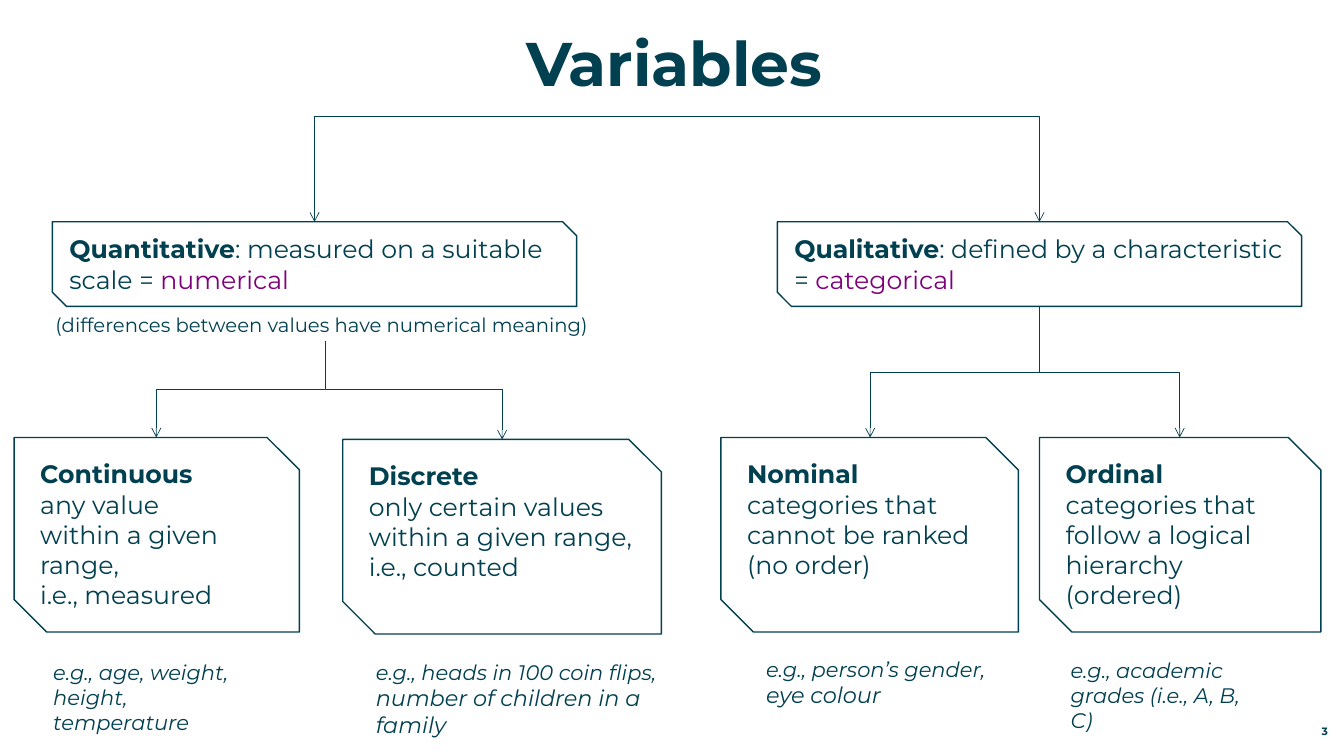
"""Builds a slide with a tree of the types of statistical variables."""
from lxml.etree import SubElement
from pptx import Presentation
from pptx.dml.color import RGBColor
from pptx.enum.shapes import MSO_CONNECTOR as CONNECTOR, MSO_SHAPE as SHAPE
from pptx.enum.text import MSO_ANCHOR as ANCHOR, PP_ALIGN as ALIGN
from pptx.oxml.ns import qn
from pptx.util import Inches, Pt

FONT = "Montserrat"
COLORS = {"ink": "004050", "accent": "7F007D", "paper": "FFFFFF"}

BRANCHES = [
    (0.52, "Quantitative", ": measured on a suitable scale = ", "numerical"),
    (7.71, "Qualitative", ": defined by a characteristic = ", "categorical"),
]
TYPES = [
    (0.14, 4.34, 2.83, "Continuous",
     ["any value", "within a given range,", "i.e., measured"]),
    (3.4, 4.36, 3.16, "Discrete",
     ["only certain values", "within a given range,", "i.e., counted"]),
    (7.15, 4.34, 2.95, "Nominal", ["categories that cannot be ranked (no order)"]),
    (10.31, 4.34, 2.79, "Ordinal",
     ["categories that follow a logical hierarchy (ordered)"]),
]
EXAMPLES = [
    (0.43, 6.49, 2.24, 0.86, ["e.g., age, weight, height, temperature"]),
    (3.63, 6.49, 3.1, 0.89,
     ["e.g., heads in 100 coin flips,", "number of children in a family"]),
    (7.5, 6.46, 2.6, 0.62, ["e.g., person’s gender,", "eye colour"]),
    (10.52, 6.47, 2.13, 0.86, ["e.g., academic grades (i.e., A, B, C)"]),
]
CORNER_ARROWS = [
    ((6.78, 1.15), (3.12, 2.2)),
    ((6.78, 1.15), (10.31, 2.2)),
    ((3.23, 3.86), (4.98, 4.36)),
]
STEP_ARROWS = [
    ((10.31, 3.04), (11.7, 4.34)),
    ((10.31, 3.04), (8.63, 4.34)),
    ((3.23, 3.38), (1.55, 4.34)),
]


def color(name):
    return RGBColor.from_string(COLORS[name])


def style(run, size, bold=False, italic=False, ink="ink"):
    run.font.name = FONT
    run.font.size = Pt(size)
    run.font.bold = bold
    run.font.italic = italic
    run.font.color.rgb = color(ink)


def write(frame, lines, wrap=True):
    """Fill a frame with lines, each a list of (text, style options)."""
    frame.word_wrap = wrap
    frame.vertical_anchor = ANCHOR.TOP
    for index, pieces in enumerate(lines):
        line = frame.paragraphs[0] if index == 0 else frame.add_paragraph()
        line.alignment = ALIGN.LEFT
        for text, options in pieces:
            run = line.add_run()
            run.text = text
            style(run, **options)


def clear_margins(frame):
    frame.margin_left = frame.margin_right = 0
    frame.margin_top = frame.margin_bottom = 0


def add_title(slide, text):
    title = slide.shapes.title
    title.left, title.top = Inches(5.22), Inches(0.33)
    title.width, title.height = Inches(3.14), Inches(0.67)
    clear_margins(title.text_frame)
    write(title.text_frame, [[(text, {"size": 44, "bold": True})]], wrap=False)
    title.text_frame.paragraphs[0].line_spacing = 0.9


def add_card(slide, left, top, width, height, lines, wrap=True):
    card = slide.shapes.add_shape(
        SHAPE.SNIP_2_DIAG_RECTANGLE,
        Inches(left), Inches(top), Inches(width), Inches(height))
    card.shadow.inherit = False
    card.fill.solid()
    card.fill.fore_color.rgb = color("paper")
    card.line.color.rgb = color("ink")
    card.line.width = Pt(1)
    write(card.text_frame, lines, wrap)


def add_text(slide, left, top, width, height, lines):
    box = slide.shapes.add_textbox(
        Inches(left), Inches(top), Inches(width), Inches(height))
    write(box.text_frame, lines)
    return box.text_frame


def add_elbow(slide, start, end):
    arrow = slide.shapes.add_connector(
        CONNECTOR.ELBOW, *(Inches(value) for value in (*start, *end)))
    arrow.line.color.rgb = color("ink")
    arrow.line.width = Pt(0.5)
    SubElement(arrow.line._get_or_add_ln(), qn("a:tailEnd"), type="arrow")
    properties = arrow._element.spPr
    SubElement(properties, qn("a:effectLst"))
    return properties


def add_corner_arrow(slide, start, end):
    """Draw an arrow that runs sideways and then down."""
    properties = add_elbow(slide, start, end)
    properties.find(qn("a:prstGeom")).set("prst", "bentConnector2")


def add_step_arrow(slide, start, end):
    """Draw an arrow that runs down, sideways and down, as a turned elbow."""
    across, down = end[0] - start[0], end[1] - start[1]
    middle_x, middle_y = start[0] + across / 2, start[1] + down / 2
    reach = down / 2 if across < 0 else -down / 2
    rise = abs(across) / 2
    properties = add_elbow(slide, (middle_x - reach, middle_y - rise),
                           (middle_x + reach, middle_y + rise))
    turn = 90 if across < 0 else 270
    properties.find(qn("a:xfrm")).set("rot", str(turn * 60000))


def main():
    deck = Presentation()
    deck.slide_width, deck.slide_height = Inches(13.33), Inches(7.5)
    slide = deck.slides.add_slide(deck.slide_layouts[5])
    add_title(slide, "Variables")

    heading, body = {"size": 18, "bold": True}, {"size": 18}
    for left, name, meaning, keyword in BRANCHES:
        pieces = [(name, heading), (meaning, body),
                  (keyword, {"size": 18, "ink": "accent"})]
        add_card(slide, left, 2.2, 5.2, 0.84, [pieces])
    for left, top, width, name, details in TYPES:
        lines = [[(name, heading)]] + [[(detail, body)] for detail in details]
        add_card(slide, left, top, width, 1.93, lines, wrap=name != "Discrete")

    for start, end in CORNER_ARROWS:
        add_corner_arrow(slide, start, end)
    for start, end in STEP_ARROWS:
        add_step_arrow(slide, start, end)

    for left, top, width, height, sentences in EXAMPLES:
        lines = [[(sentence, {"size": size, "italic": True})]
                 for sentence, size in zip(sentences, (15, 16))]
        add_text(slide, left, top, width, height, lines)
    add_text(slide, 0.45, 3.06, 5.9, 0.34,
             [[("(differences between values have numerical meaning)",
                {"size": 14})]])

    number = add_text(slide, 12.31, 7.12, 0.86, 0.2,
                      [[("3", {"size": 7.6, "bold": True})]])
    clear_margins(number)
    number.vertical_anchor = ANCHOR.BOTTOM
    number.paragraphs[0].alignment = ALIGN.RIGHT
    deck.save("out.pptx")


if __name__ == "__main__":
    main()
